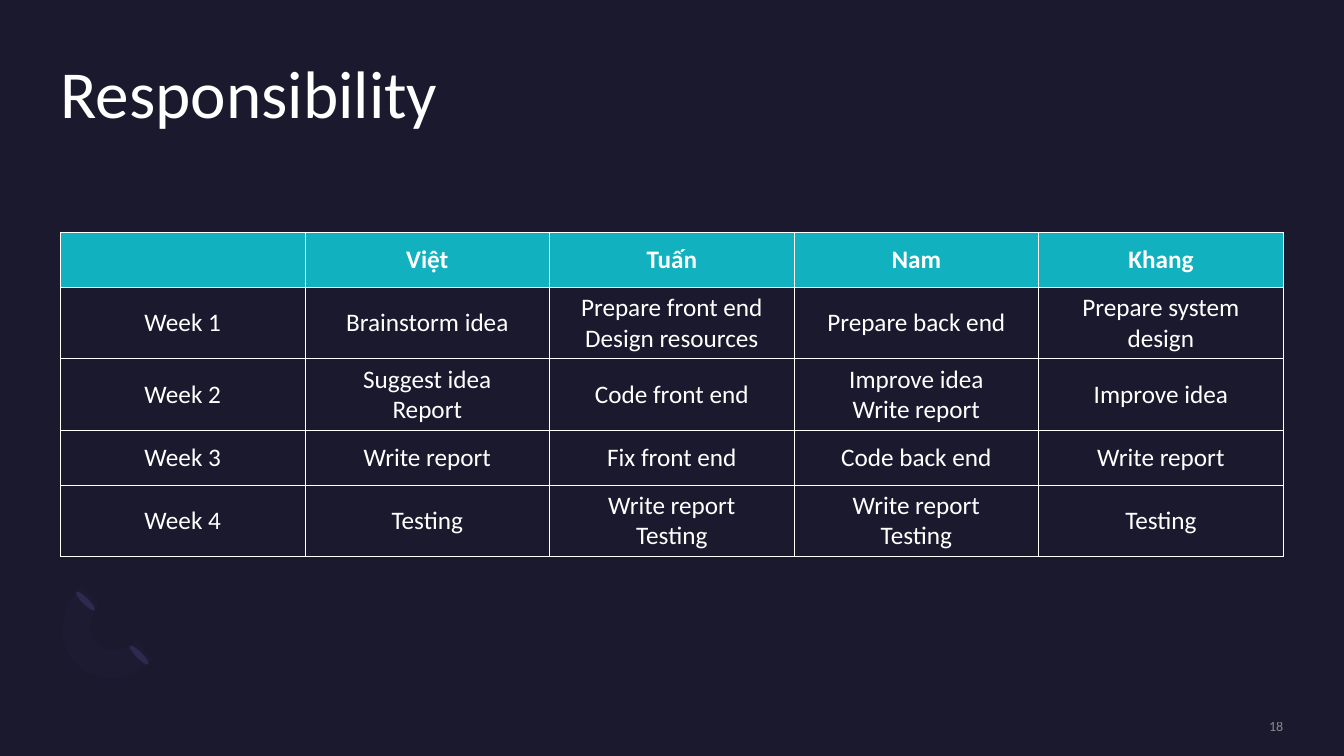
from lxml.etree import SubElement
from pptx import Presentation
from pptx.dml.color import RGBColor
from pptx.enum.shapes import MSO_SHAPE
from pptx.enum.text import MSO_ANCHOR, MSO_AUTO_SIZE, PP_ALIGN
from pptx.oxml import parse_xml
from pptx.oxml.ns import nsdecls, qn
from pptx.util import Pt

NAVY = RGBColor(0x1B, 0x19, 0x2E)
WHITE = RGBColor(0xFF, 0xFF, 0xFF)
TEAL = RGBColor(0x12, 0xB1, 0xBF)
INDIGO = RGBColor(0x2C, 0x28, 0x4A)
LILAC = RGBColor(0x77, 0x71, 0xB2)
GREY = RGBColor(0xA6, 0xA6, 0xA6)
FONT = "Calibri"
LEFT, WIDTH = 43.2, 873.4

SCHEDULE = [
    ["", "Việt", "Tuấn", "Nam", "Khang"],
    ["Week 1", "Brainstorm idea", "Prepare front end\nDesign resources",
     "Prepare back end", "Prepare system design"],
    ["Week 2", "Suggest idea\nReport", "Code front end",
     "Improve idea\nWrite report", "Improve idea"],
    ["Week 3", "Write report", "Fix front end", "Code back end", "Write report"],
    ["Week 4", "Testing", "Write report\nTesting", "Write report\nTesting", "Testing"],
]


def style_text(frame, size, color, align, bold=False):
    for paragraph in frame.paragraphs:
        paragraph.alignment = align
        paragraph.font.name = FONT
        paragraph.font.size = Pt(size)
        paragraph.font.bold = bold
        paragraph.font.color.rgb = color


def clear_margins(frame):
    frame.margin_left = frame.margin_right = Pt(0)
    frame.margin_top = frame.margin_bottom = Pt(0)
    frame.word_wrap = True


def set_opacity(element, percent):
    for color in element.xpath(".//a:srgbClr"):
        SubElement(color, qn("a:alpha"), val=str(percent * 1000))


def paint(shape, color):
    shape.shadow.inherit = False
    shape.fill.solid()
    shape.fill.fore_color.rgb = color
    shape.line.fill.background()


def add_title(slide, text):
    title = slide.shapes.title
    title.left, title.top = Pt(LEFT), Pt(43.2)
    title.width, title.height = Pt(WIDTH), Pt(105.1)
    frame = title.text_frame
    frame.text = text
    clear_margins(frame)
    frame.auto_size = MSO_AUTO_SIZE.NONE
    frame.vertical_anchor = MSO_ANCHOR.TOP
    frame.paragraphs[0].line_spacing = 0.9
    style_text(frame, 48, WHITE, PP_ALIGN.LEFT)


def add_ring_end(slide, left, top):
    end = slide.shapes.add_shape(MSO_SHAPE.OVAL, Pt(left), Pt(top), Pt(4.5), Pt(18.7))
    end.rotation = 135
    paint(end, INDIGO)


def curve(p0, p1, p2, p3, steps=16):
    for step in range(1, steps + 1):
        t = step / steps
        weights = ((1 - t) ** 3, 3 * t * (1 - t) ** 2, 3 * t * t * (1 - t), t ** 3)
        yield tuple(sum(w * p[axis] for w, p in zip(weights, (p0, p1, p2, p3)))
                    for axis in (0, 1))


def add_half_ring(slide):
    base, inner = (54.7, 474.5), (69.1, 459.4)
    outer_top, inner_top = (58.3, 419), (71.3, 432)
    inner_right, outer_right = (97.2, 457.9), (109.4, 470.9)
    outline = [
        base, *curve(base, (40.3, 460.1), (41.8, 435.6), outer_top),
        inner_top, *curve(inner_top, (62.6, 439.9), (61.9, 452.9), inner),
        *curve(inner, (76.3, 466.6), (88.6, 465.8), inner_right),
        outer_right, *curve(outer_right, (93.6, 486.7), (68.4, 488.9), base),
    ]
    points = [(x * 100, y * 100) for x, y in outline]
    builder = slide.shapes.build_freeform(*points[0], scale=Pt(0.01))
    builder.add_line_segments(points[1:], close=True)
    ring = builder.convert_to_shape()
    paint(ring, LILAC)
    set_opacity(ring.element.spPr, 3)


def add_borders(cell):
    properties = cell._tc.get_or_add_tcPr()
    for side in "LRTB":
        properties.append(parse_xml(
            f'<a:ln{side} {nsdecls("a")} w="{Pt(0.75)}"><a:solidFill>'
            f'<a:srgbClr val="{WHITE}"/></a:solidFill></a:ln{side}>'))


def add_schedule(slide):
    rows, columns = len(SCHEDULE), len(SCHEDULE[0])
    row_height = 38.9
    table = slide.shapes.add_table(rows, columns, Pt(LEFT), Pt(166.3),
                                   Pt(WIDTH), Pt(row_height * rows)).table
    table.horz_banding = False
    for column in table.columns:
        column.width = Pt(WIDTH / columns)
    for r, tasks in enumerate(SCHEDULE):
        table.rows[r].height = Pt(row_height)
        for c, task in enumerate(tasks):
            cell = table.cell(r, c)
            cell.text = task
            cell.vertical_anchor = MSO_ANCHOR.MIDDLE
            style_text(cell.text_frame, 18, WHITE, PP_ALIGN.CENTER, bold=r == 0)
            add_borders(cell)
            if r == 0:
                cell.fill.solid()
                cell.fill.fore_color.rgb = TEAL
            else:
                cell.fill.background()


def add_page_number(slide, number):
    box = slide.shapes.add_textbox(Pt(783.4), Pt(512.6), Pt(133.2), Pt(12.2))
    frame = box.text_frame
    frame.text = number
    clear_margins(frame)
    frame.vertical_anchor = MSO_ANCHOR.MIDDLE
    style_text(frame, 10, GREY, PP_ALIGN.RIGHT)
    set_opacity(box.element.txBody, 80)


def main():
    deck = Presentation()
    deck.slide_width, deck.slide_height = Pt(960), Pt(540)
    slide = deck.slides.add_slide(deck.slide_layouts[5])
    slide.background.fill.solid()
    slide.background.fill.fore_color.rgb = NAVY
    add_ring_end(slide, 97.2, 458.6)
    add_ring_end(slide, 58.8, 420)
    add_half_ring(slide)
    add_title(slide, "Responsibility")
    add_schedule(slide)
    add_page_number(slide, "18")
    deck.save("out.pptx")


if __name__ == "__main__":
    main()
